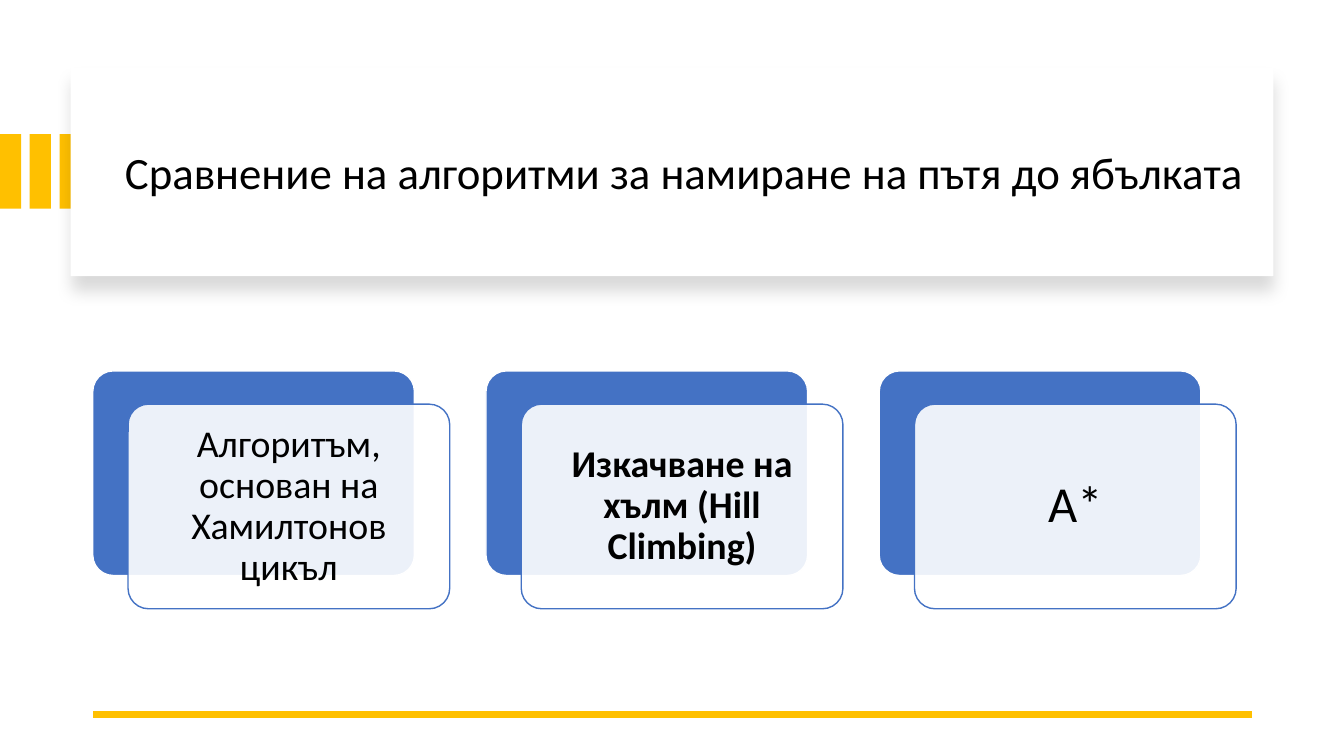
from lxml.etree import SubElement
from pptx import Presentation
from pptx.dml.color import RGBColor
from pptx.enum.shapes import MSO_CONNECTOR, MSO_SHAPE
from pptx.enum.text import MSO_ANCHOR, PP_ALIGN
from pptx.oxml.ns import qn
from pptx.util import Inches, Pt

GOLD = RGBColor(0xFF, 0xC0, 0x00)
BLUE = RGBColor(0x44, 0x72, 0xC4)
WHITE = RGBColor(0xFF, 0xFF, 0xFF)
BLACK = RGBColor(0x00, 0x00, 0x00)

deck = Presentation()
deck.slide_width = Inches(13.33)
deck.slide_height = Inches(7.5)
slide = deck.slides.add_slide(deck.slide_layouts[6])
shapes = slide.shapes


def add_box(kind, area, fill, edge=None):
    box = shapes.add_shape(kind, *map(Inches, area))
    box.shadow.inherit = False
    box.fill.solid()
    box.fill.fore_color.rgb = fill
    if edge is None:
        box.line.fill.background()
    else:
        box.line.color.rgb = edge
        box.line.width = Pt(1)
        box.adjustments[0] = 0.1
    return box


def add_text(area, words, size, bold=False, align=PP_ALIGN.LEFT, pad=None):
    """Place one vertically centred paragraph; pad is the inset on all sides."""
    box = shapes.add_textbox(*map(Inches, area))
    frame = box.text_frame
    frame.word_wrap = True
    frame.vertical_anchor = MSO_ANCHOR.MIDDLE
    if pad is not None:
        frame.margin_left = frame.margin_right = Inches(pad)
        frame.margin_top = frame.margin_bottom = Inches(pad)
    para = frame.paragraphs[0]
    para.alignment = align
    para.line_spacing = 0.9
    run = para.add_run()
    run.text = words
    run.font.name = "Calibri"
    run.font.size = Pt(size)
    run.font.bold = bold
    run.font.color.rgb = BLACK


# Gold bars beside the title panel
for col in range(3):
    add_box(MSO_SHAPE.RECTANGLE, (col * 0.295, 1.33, 0.21, 0.74), GOLD)

# Title panel with a soft shadow below
panel = add_box(MSO_SHAPE.RECTANGLE, (0.7, 0.67, 11.93, 2.07), WHITE)
effects = panel._element.spPr.find(qn("a:effectLst"))
shade = SubElement(effects, qn("a:outerShdw"), blurRad=str(Pt(11)),
                   dist=str(Pt(10)), dir="5400000", algn="t", rotWithShape="0")
tint = SubElement(shade, qn("a:srgbClr"), val=str(BLACK))
SubElement(tint, qn("a:alpha"), val="15000")
add_text((1.14, 0.89, 11.49, 1.7),
         "Сравнение на алгоритми за намиране на пътя до ябълката", 32)

# Gold rule at the foot
rule = shapes.add_connector(MSO_CONNECTOR.STRAIGHT, Inches(12.42), Inches(7.09),
                            Inches(0.92), Inches(7.09))
rule.line.color.rgb = GOLD
rule.line.width = Pt(4.5)
SubElement(rule._element.spPr, qn("a:effectLst"))

# Three cards: a blue back, a pale front and its label
LEFT, TOP, STEP = 0.92, 3.68, 3.9
WIDE, HIGH = 3.19, 2.03
SHIFT_X, SHIFT_Y, INSET = 0.35, 0.33, 0.06
cards = [
    ("Алгоритъм, основан на Хамилтонов цикъл", 27, False, 0.11),
    ("Изкачване на хълм (Hill Climbing)", 27, True, 0.11),
    ("A*", 36, False, 0.15),
]
for col, (words, size, bold, pad) in enumerate(cards):
    x = LEFT + col * STEP
    add_box(MSO_SHAPE.ROUNDED_RECTANGLE, (x, TOP, WIDE, HIGH), BLUE, WHITE)
    x, y = x + SHIFT_X, TOP + SHIFT_Y
    front = add_box(MSO_SHAPE.ROUNDED_RECTANGLE, (x, y, WIDE, HIGH), WHITE, BLUE)
    color = front._element.spPr.find(qn("a:solidFill")).find(qn("a:srgbClr"))
    SubElement(color, qn("a:alpha"), val="90000")
    add_text((x + INSET, y + INSET, WIDE - 2 * INSET, HIGH - 2 * INSET),
             words, size, bold, PP_ALIGN.CENTER, pad)

deck.save("out.pptx")
